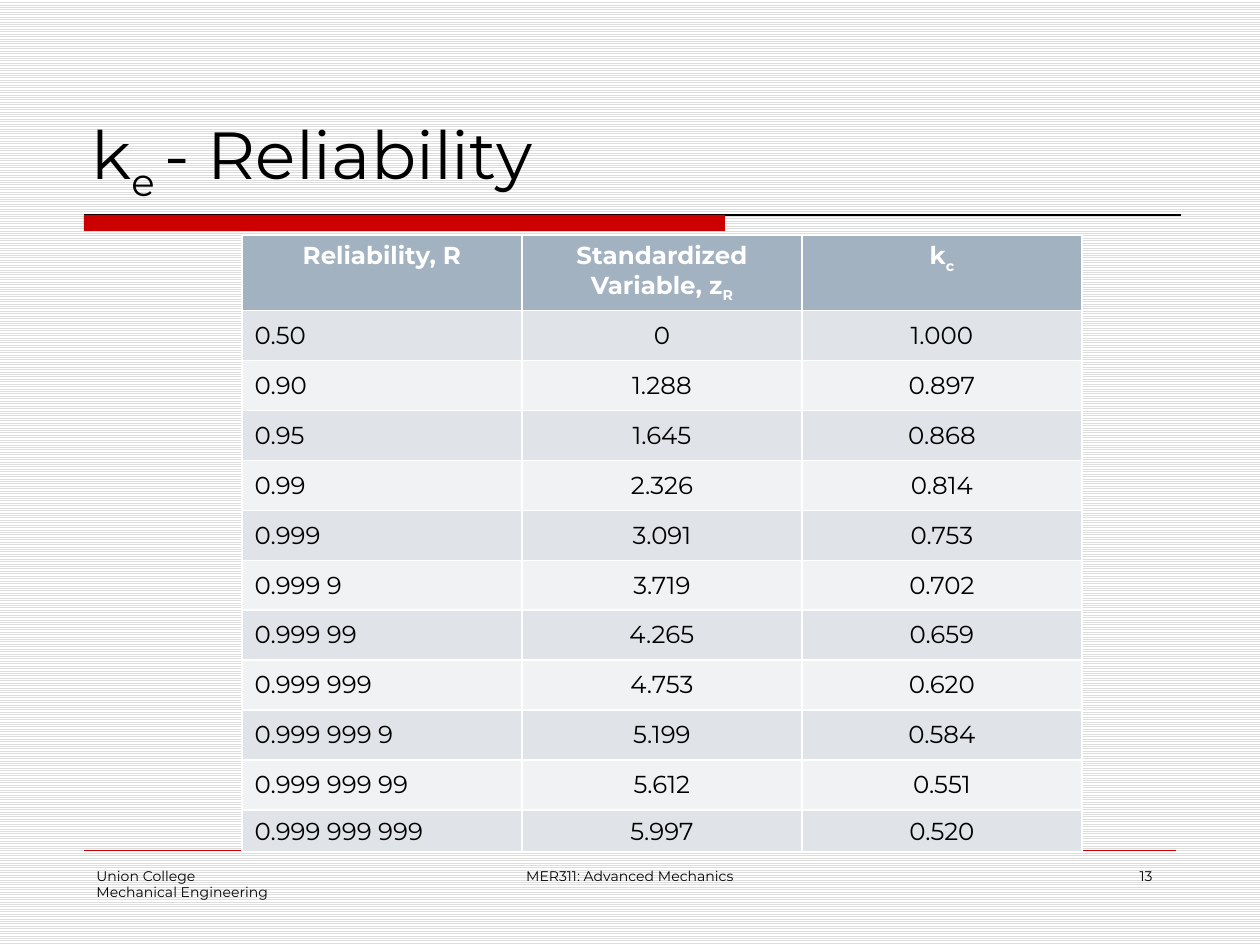
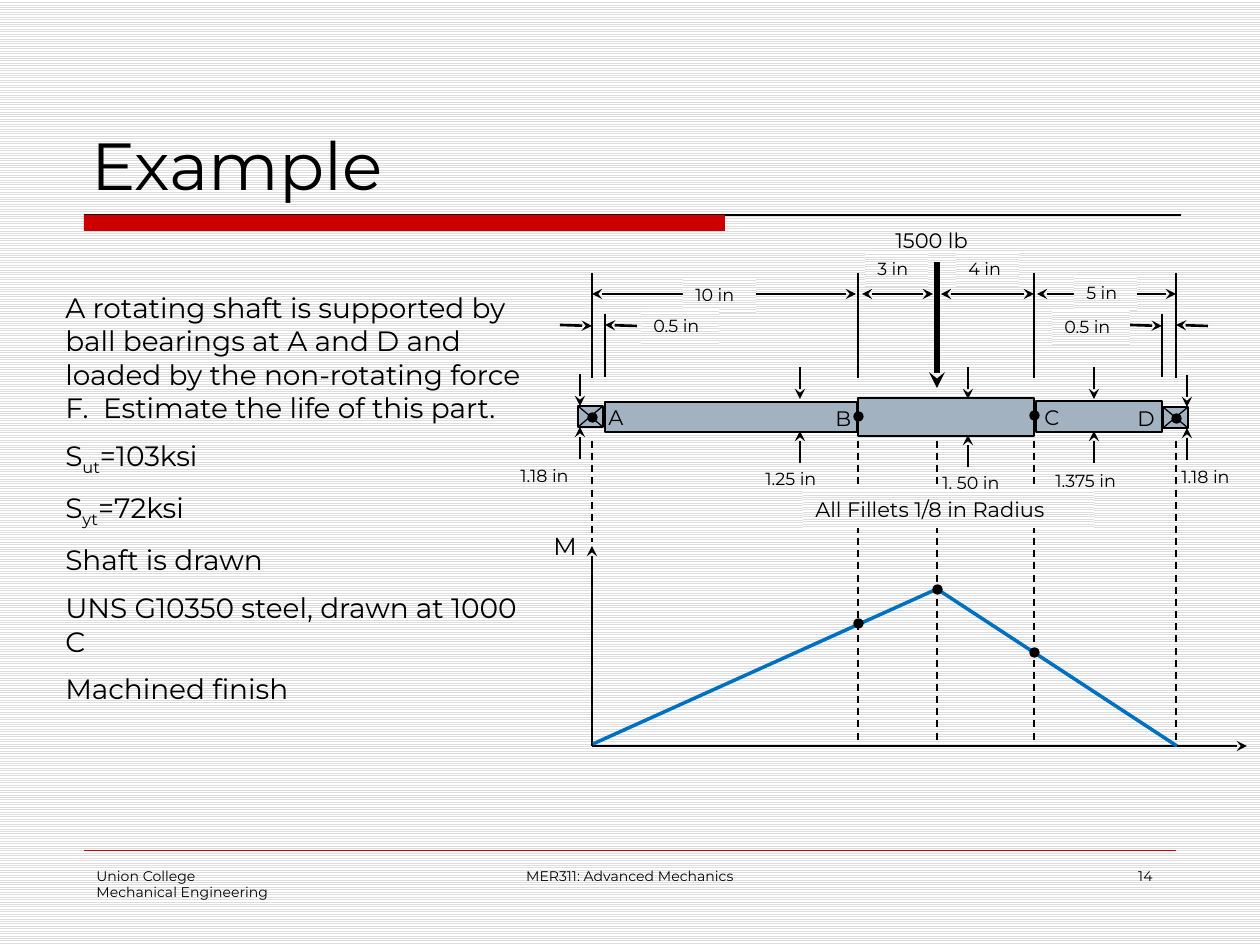
import pptx
import pptx.util
import pptx.dml.color
import pptx.enum.dml
import pptx.enum.shapes
import pptx.enum.text
import pptx.oxml.ns
from lxml import etree

PX = 914400 // 126  # EMU in one px
FONT = "Montserrat"
COLORS = {name: pptx.dml.color.RGBColor.from_string(value) for name, value in {
    "black": "000000", "white": "FFFFFF", "red": "CC0000", "stripe": "DDDDDD",
    "steel": "A3B2C1", "band_dark": "E0E4E9", "band_light": "F0F2F4",
    "moment": "0070C0"}.items()}
STRIPES = pptx.enum.dml.MSO_PATTERN.LIGHT_HORIZONTAL
SHAPE = pptx.enum.shapes.MSO_SHAPE
ALIGN = pptx.enum.text.PP_ALIGN
ANCHOR = pptx.enum.text.MSO_ANCHOR
Pt = pptx.util.Pt
qn = pptx.oxml.ns.qn


def write(tf, paragraphs, size, color="black", align=ALIGN.LEFT, bold=False, before=0):
    """Fill a text frame; text between underscores is set as a subscript."""
    tf.word_wrap = True
    for i, text in enumerate(paragraphs):
        p = tf.paragraphs[0] if i == 0 else tf.add_paragraph()
        p.alignment = align
        if i and before:
            p.space_before = Pt(before)
        for j, part in enumerate(text.split("_")):
            r = p.add_run()
            r.text = part
            r.font.name, r.font.size, r.font.bold = FONT, Pt(size), bold
            r.font.color.rgb = COLORS[color]
            if j % 2:
                r.font._element.set("baseline", "-25000")


def line(s, x1, y1, x2, y2, width, color="black", dash=False, ends=()):
    """Draw a straight line; ends names the headEnd/tailEnd that get arrowheads."""
    c = s.shapes.add_connector(pptx.enum.shapes.MSO_CONNECTOR.STRAIGHT,
                               x1 * PX, y1 * PX, x2 * PX, y2 * PX)
    c.line.width = Pt(width)
    c.line.color.rgb = COLORS[color]
    if dash:
        c.line.dash_style = pptx.enum.dml.MSO_LINE.DASH
    spPr = c.element.spPr
    for end in ends:
        etree.SubElement(spPr.find(qn("a:ln")), qn("a:" + end), type="stealth")
    etree.SubElement(spPr, qn("a:effectLst"))


prs = pptx.Presentation()
prs.slide_width, prs.slide_height = 1260 * PX, 945 * PX

# Shared frame: background, title, red band, footer
slides = []
for number, title in [(13, "k_e _- Reliability"), (14, "Example")]:
    s = prs.slides.add_slide(prs.slide_layouts[6])
    slides.append(s)
    fill = s.background.fill
    fill.patterned()
    fill.pattern = STRIPES
    fill.fore_color.rgb, fill.back_color.rgb = COLORS["stripe"], COLORS["white"]

    line(s, 84, 215, 1181, 215, 0.75)
    band = s.shapes.add_shape(SHAPE.RECTANGLE, 84 * PX, 215 * PX, 641 * PX, 16 * PX)
    band.shadow.inherit = False
    band.fill.solid()
    band.fill.fore_color.rgb = COLORS["red"]
    band.line.fill.background()
    line(s, 84, 850, 1176, 850, 0.25, "red")

    sp = s.shapes.add_textbox(79 * PX, 42 * PX, 1102 * PX, 168 * PX)
    sp.text_frame.vertical_anchor = ANCHOR.BOTTOM
    write(sp.text_frame, [title], 38)

    for x, w, align, paragraphs in [
            (84, 262, ALIGN.LEFT, ["Union College", "Mechanical Engineering"]),
            (430, 400, ALIGN.CENTER, ["MER311: Advanced Mechanics"]),
            (903, 262, ALIGN.RIGHT, [str(number)])]:
        sp = s.shapes.add_textbox(x * PX, 861 * PX, w * PX, 63 * PX)
        write(sp.text_frame, paragraphs, 8, align=align)

reliability, example = slides

# Reliability table
rows = [
    ("Reliability, R", "Standardized Variable, z_R_", "k_c_"),
    ("0.50", "0", "1.000"),
    ("0.90", "1.288", "0.897"),
    ("0.95", "1.645", "0.868"),
    ("0.99", "2.326", "0.814"),
    ("0.999", "3.091", "0.753"),
    ("0.999 9", "3.719", "0.702"),
    ("0.999 99", "4.265", "0.659"),
    ("0.999 999", "4.753", "0.620"),
    ("0.999 999 9", "5.199", "0.584"),
    ("0.999 999 99", "5.612", "0.551"),
    ("0.999 999 999", "5.997", "0.520"),
]
heights = [74] + [50] * 10 + [41]
table = reliability.shapes.add_table(len(rows), 3, 242 * PX, 235 * PX,
                                     840 * PX, sum(heights) * PX).table
for i, row in enumerate(rows):
    table.rows[i].height = heights[i] * PX
    header = i == 0
    for j, text in enumerate(row):
        cell = table.cell(i, j)
        cell.fill.solid()
        cell.fill.fore_color.rgb = COLORS[
            "steel" if header else "band_dark" if i % 2 else "band_light"]
        cell.vertical_anchor = ANCHOR.TOP if header else ANCHOR.MIDDLE
        write(cell.text_frame, [text], 14, "white" if header else "black",
              ALIGN.CENTER if header or j else ALIGN.LEFT, header)

# Example: problem statement
s = example
sp = s.shapes.add_textbox(53 * PX, 284 * PX, 494 * PX, 471 * PX)
write(sp.text_frame, [
    "A rotating shaft is supported by ball bearings at A and D and loaded by the "
    "non-rotating force F.  Estimate the life of this part.",
    "S_ut_=103ksi", "S_yt_=72ksi", "Shaft is drawn",
    "UNS G10350 steel, drawn at 1000 C", "Machined finish"], 16, before=8)

# Stations along the shaft
A, B, LOAD, C, D = 592, 858, 937, 1034, 1176
LEFT_SHOULDER, RIGHT_SHOULDER = 605, 1162
BASE = 746  # moment axis

for x, bottom in [(A, 542), (B, 743), (LOAD, 743), (C, 743), (D, 743)]:
    line(s, x, 441, x, bottom, 1, dash=True)

# Shaft segments, then the two bearings with crosses
bearings = [(578, 406, 25, 21), (1163, 407, 25, 21)]
segments = [(B, 398, 176, 38), (1036, 401, 126, 31), (LEFT_SHOULDER, 402, 252, 30)]
for x, y, w, h in segments + bearings:
    sp = s.shapes.add_shape(SHAPE.RECTANGLE, x * PX, y * PX, w * PX, h * PX)
    sp.shadow.inherit = False
    sp.fill.solid()
    sp.fill.fore_color.rgb = COLORS["steel"]
    sp.line.color.rgb = COLORS["black"]
    sp.line.width = Pt(1.5)
for x, y, w, h in bearings:
    line(s, x + w, y, x, y + h, 0.75)
    line(s, x, y, x + w, y + h, 0.75)

# Extension lines, load arrow and length dimensions
for x in (A, B, C, D):
    line(s, x, 378, x, 273, 1.5)
for x in (LEFT_SHOULDER, RIGHT_SHOULDER):
    line(s, x, 377, x, 314, 1.5)
line(s, LOAD, 262, LOAD, 388, 3, ends=["tailEnd"])
for x1, x2 in [(A, 856), (862, 933), (941, C), (1037, D)]:
    line(s, x1, 294, x2, 294, 1.5, ends=["headEnd", "tailEnd"])
for x1, x2 in [(A, LEFT_SHOULDER), (RIGHT_SHOULDER, D)]:
    line(s, x1 - 32, 325, x1, 326, 1.5, ends=["tailEnd"])
    line(s, x2 + 32, 326, x2, 325, 1.5, ends=["tailEnd"])

# Diameter dimensions: arrows onto the top and bottom edges
for x, top, bottom in [(580, 406, 427), (800, 399, 431), (968, 399, 435),
                       (1094, 399, 431), (1187, 407, 428)]:
    line(s, x, top - 32, x, top, 1.5, ends=["tailEnd"])
    line(s, x, bottom + 32, x, bottom, 1.5, ends=["tailEnd"])

# Moment diagram
line(s, A, BASE, 1247, BASE, 1.5, ends=["tailEnd"])
line(s, A, BASE, A, 546, 1.5, ends=["tailEnd"])
line(s, A + 1, 744, LOAD, 589, 2, "moment")
line(s, LOAD, 589, D + 1, BASE, 2, "moment")

for x, y in [(A, 417), (B, 416), (C, 415), (D, 418), (B, 623), (LOAD, 589), (C, 652)]:
    dot = s.shapes.add_shape(SHAPE.OVAL, (x - 4) * PX, (y - 4) * PX, 9 * PX, 9 * PX)
    dot.shadow.inherit = False
    dot.fill.solid()
    dot.fill.fore_color.rgb = dot.line.color.rgb = COLORS["black"]
    dot.line.width = Pt(0.75)

# Labels: x, y, width, text, size, striped backing
for x, y, w, text, size, striped in [
        (683, 278, 73, "10 in", 10, True),
        (865, 252, 63, "3 in", 10, True),
        (956, 252, 63, "4 in", 10, True),
        (1074, 276, 63, "5 in", 10, True),
        (641, 309, 78, "0.5 in", 10, True),
        (1052, 310, 78, "0.5 in", 10, True),
        (803, 490, 291, "All Fillets 1/8 in Radius", 12, True),
        (883, 221, 111, "1500 lb", 12, False),
        (508, 459, 90, "1.18 in", 10, False),
        (753, 462, 90, "1.25 in", 10, False),
        (930, 466, 96, "1. 50 in", 10, False),
        (1043, 464, 102, "1.375 in", 10, False),
        (1169, 460, 90, "1.18 in", 10, False),
        (596, 398, 42, "A", 12, False),
        (823, 399, 42, "B", 12, False),
        (1032, 398, 42, "C", 12, False),
        (1125, 399, 42, "D", 12, False),
        (541, 525, 49, "M", 14, False)]:
    h = {10: 34, 12: 38, 14: 43}[size]
    sp = s.shapes.add_textbox(x * PX, y * PX, w * PX, h * PX)
    if striped:
        sp.fill.patterned()
        sp.fill.pattern = STRIPES
        sp.fill.fore_color.rgb = COLORS["stripe"]
        sp.fill.back_color.rgb = COLORS["white"]
    write(sp.text_frame, [text], size)

prs.save("out.pptx")
